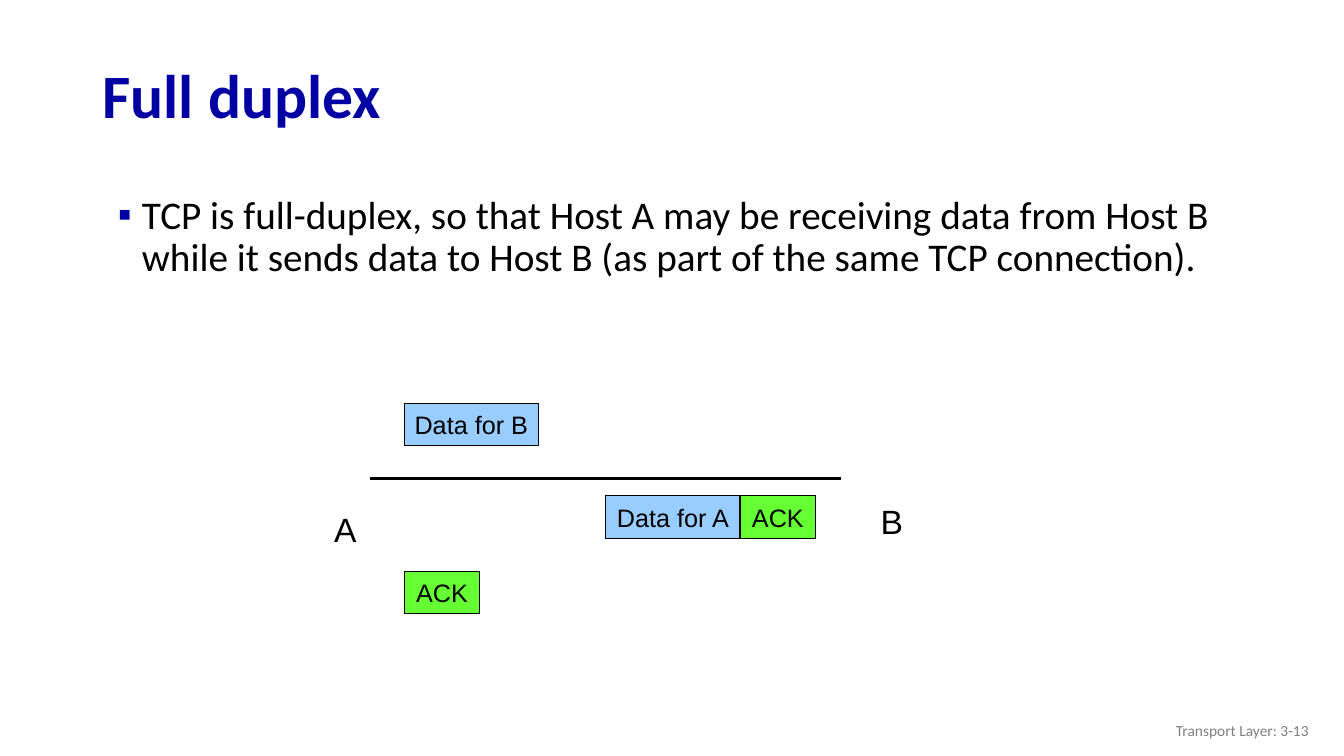
import pptx
import pptx.util
import pptx.dml.color
import pptx.enum.shapes
import pptx.enum.text
import pptx.oxml
import pptx.oxml.ns
from dataclasses import dataclass
from pptx.util import Inches

ALIGN = pptx.enum.text.PP_ALIGN
ANCHOR = pptx.enum.text.MSO_ANCHOR


@dataclass(frozen=True)
class Theme:
    navy: str = "0000A3"
    black: str = "000000"
    gray: str = "808080"
    data: str = "99CCFF"
    ack: str = "66FF33"
    text_font: str = "Calibri"
    diagram_font: str = "Arial"
    title_size: int = 44
    body_size: int = 28
    host_size: int = 24
    segment_size: int = 18
    footer_size: int = 11


theme = Theme()


def rgb(code):
    return pptx.dml.color.RGBColor.from_string(code)


def write(holder, text, *, size, font=theme.text_font, color=theme.black, bold=False,
          align=ALIGN.LEFT, anchor=ANCHOR.TOP, wrap=True, spacing=None, bullet=None):
    frame = holder.text_frame
    frame.word_wrap = wrap
    frame.vertical_anchor = anchor
    paragraph = frame.paragraphs[0]
    paragraph.alignment = align
    if spacing:
        paragraph.line_spacing = spacing
    if bullet:
        properties = paragraph._p.get_or_add_pPr()
        properties.set("marL", str(Inches(0.39)))
        properties.set("indent", str(Inches(-0.24)))
        namespace = pptx.oxml.ns.nsdecls("a")
        for element in (f'<a:buClr {namespace}><a:srgbClr val="{theme.navy}"/></a:buClr>',
                        f'<a:buFont {namespace} typeface="{theme.diagram_font}"/>',
                        f'<a:buChar {namespace} char="{bullet}"/>'):
            properties.append(pptx.oxml.parse_xml(element))
    run = paragraph.add_run()
    run.text = text
    run.font.name = font
    run.font.size = pptx.util.Pt(size)
    run.font.bold = bold
    run.font.color.rgb = rgb(color)


presentation = pptx.Presentation()
presentation.slide_width = Inches(13.33)
presentation.slide_height = Inches(7.5)
slide = presentation.slides.add_slide(presentation.slide_layouts[6])
shapes = slide.shapes

# Title, statement and footer
title = shapes.add_textbox(Inches(0.92), Inches(0.49), Inches(11.5), Inches(0.98))
write(title, "Full duplex", size=theme.title_size, color=theme.navy, bold=True,
      anchor=ANCHOR.MIDDLE, spacing=0.9)

statement = shapes.add_textbox(Inches(0.92), Inches(1.89), Inches(11.5), Inches(4.76))
write(statement, "TCP is full-duplex, so that Host A may be receiving data from Host B "
      "while it sends data to Host B (as part of the same TCP connection).",
      size=theme.body_size, spacing=0.9, bullet="▪")

footer = shapes.add_textbox(Inches(10.08), Inches(7.05), Inches(3), Inches(0.4))
write(footer, "Transport Layer: 3-13", size=theme.footer_size, color=theme.gray,
      align=ALIGN.RIGHT, anchor=ANCHOR.MIDDLE)

# Link between the hosts
link = shapes.add_connector(pptx.enum.shapes.MSO_CONNECTOR.STRAIGHT,
                            Inches(3.67), Inches(4.75), Inches(8.34), Inches(4.75))
link.line.color.rgb = rgb(theme.black)
link.line.width = pptx.util.Pt(2.25)
link._element.spPr.append(
    pptx.oxml.parse_xml(f'<a:effectLst {pptx.oxml.ns.nsdecls("a")}/>'))

# Hosts
for host_name, left, top in (("A", 3.09, 5), ("B", 8.51, 4.92)):
    host = shapes.add_textbox(Inches(left), Inches(top), Inches(0.67), Inches(0.5))
    write(host, host_name, size=theme.host_size, font=theme.diagram_font, align=ALIGN.CENTER)

# Segments in transit; the reply carries data and an ACK side by side
data_width, ack_width = 1.33, 0.75
sent_left, reply_left, reply_top = 4.01, 6.01, 4.92
reply = shapes.add_group_shape()
for parent, label, left, top, width, fill in (
        (shapes, "Data for B", sent_left, 4, data_width, theme.data),
        (reply.shapes, "Data for A", reply_left, reply_top, data_width, theme.data),
        (reply.shapes, "ACK", reply_left + data_width, reply_top, ack_width, theme.ack),
        (shapes, "ACK", sent_left, 5.67, ack_width, theme.ack)):
    segment = parent.add_shape(pptx.enum.shapes.MSO_SHAPE.RECTANGLE,
                               Inches(left), Inches(top), Inches(width), Inches(0.42))
    segment.shadow.inherit = False
    segment.fill.solid()
    segment.fill.fore_color.rgb = rgb(fill)
    segment.line.color.rgb = rgb(theme.black)
    segment.line.width = pptx.util.Pt(0.75)
    write(segment, label, size=theme.segment_size, font=theme.diagram_font,
          align=ALIGN.CENTER, anchor=ANCHOR.MIDDLE, wrap=False)

presentation.save("out.pptx")
